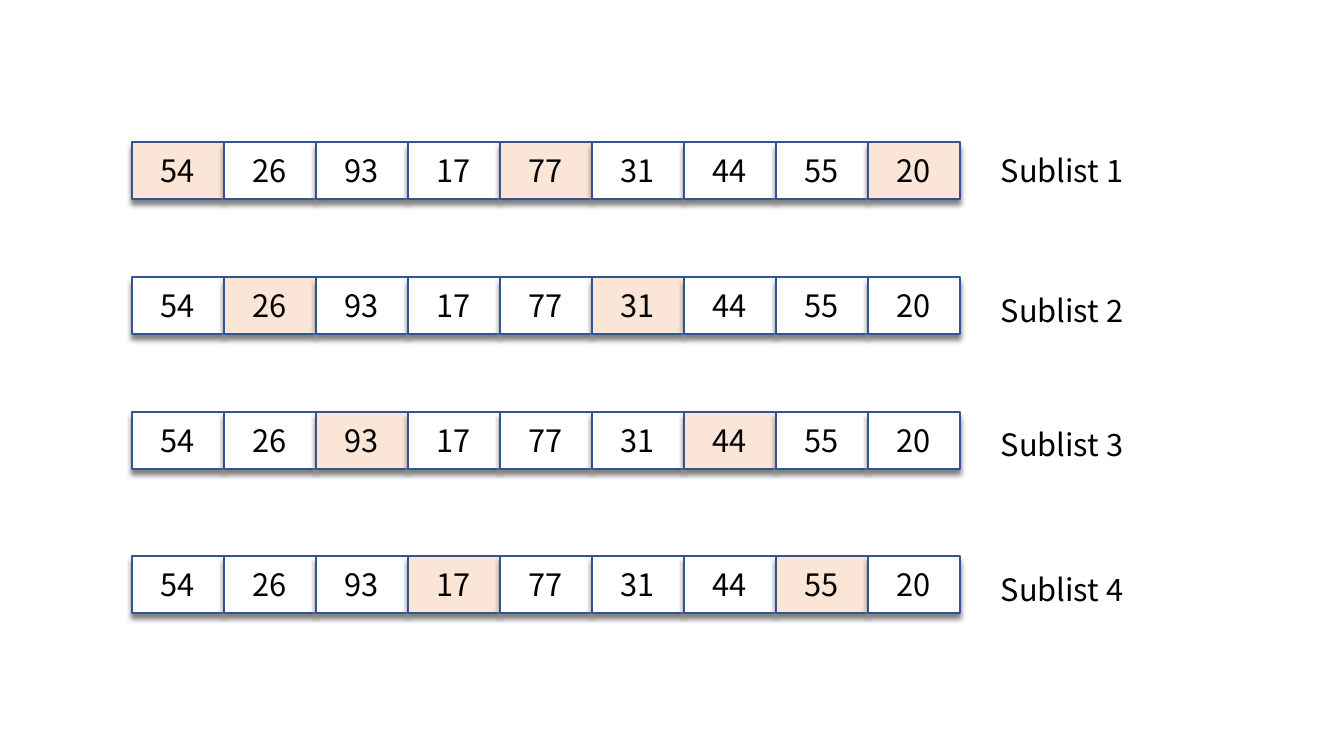
from lxml import etree
from pptx import Presentation
from pptx.dml.color import RGBColor
from pptx.enum.shapes import MSO_SHAPE
from pptx.enum.text import MSO_ANCHOR, MSO_AUTO_SIZE, PP_ALIGN
from pptx.oxml.ns import qn
from pptx.util import Pt

RECTANGLE = MSO_SHAPE.RECTANGLE
MIDDLE = MSO_ANCHOR.MIDDLE
FIT_SHAPE = MSO_AUTO_SIZE.SHAPE_TO_FIT_TEXT
CENTER, LEFT = PP_ALIGN.CENTER, PP_ALIGN.LEFT

PX = 914400 / 100.8
FONT = "Noto Sans CJK KR"
COLORS = {
    "text": "000000",
    "plain": "FFFFFF",
    "picked": "FBE5D6",
    "border": "325491",
    "shadow": "808080",
}
NUMBERS = [54, 26, 93, 17, 77, 31, 44, 55, 20]
GAP = 4  # each sublist takes every fourth number
CELL_LEFT, CELL_WIDTH, CELL_HEIGHT = 132, 92, 57
LABEL_LEFT, LABEL_HEIGHT = 991, 47
# row top, label top, label width
ROWS = [(142, 147, 162), (277, 287, 222), (412, 421, 222), (556, 566, 222)]


def write(box, text, align):
    para = box.text_frame.paragraphs[0]
    para.alignment = align
    span = para.add_run()
    span.text = text
    span.font.name = FONT
    span.font.size = Pt(22)
    span.font.color.rgb = RGBColor.from_string(COLORS["text"])


def drop_shadow(shape):
    shape.shadow.inherit = False
    effects = shape._element.spPr.find(qn("a:effectLst"))
    shadow = etree.SubElement(
        effects, qn("a:outerShdw"), blurRad=str(Pt(4)), dist=str(Pt(4)),
        dir="5400000", algn="ctr", rotWithShape="0")
    etree.SubElement(shadow, qn("a:srgbClr"), val=COLORS["shadow"])


deck = Presentation()
deck.slide_width = round(1344 * PX)
deck.slide_height = round(756 * PX)
page = deck.slides.add_slide(deck.slide_layouts[6])

for row, (row_top, label_top, label_width) in enumerate(ROWS):
    sublist = page.shapes.add_group_shape()
    for column, number in enumerate(NUMBERS):
        cell = sublist.shapes.add_shape(
            RECTANGLE,
            round((CELL_LEFT + column * CELL_WIDTH) * PX), round(row_top * PX),
            round(CELL_WIDTH * PX), round(CELL_HEIGHT * PX))
        fill_name = "picked" if column % GAP == row else "plain"
        cell.fill.solid()
        cell.fill.fore_color.rgb = RGBColor.from_string(COLORS[fill_name])
        cell.line.color.rgb = RGBColor.from_string(COLORS["border"])
        cell.line.width = Pt(1)
        drop_shadow(cell)
        cell.text_frame.vertical_anchor = MIDDLE
        write(cell, str(number), CENTER)

    label = sublist.shapes.add_textbox(
        round(LABEL_LEFT * PX), round(label_top * PX),
        round(label_width * PX), round(LABEL_HEIGHT * PX))
    label.text_frame.word_wrap = True
    label.text_frame.auto_size = FIT_SHAPE
    write(label, f"Sublist {row + 1}", LEFT)

deck.save("out.pptx")
